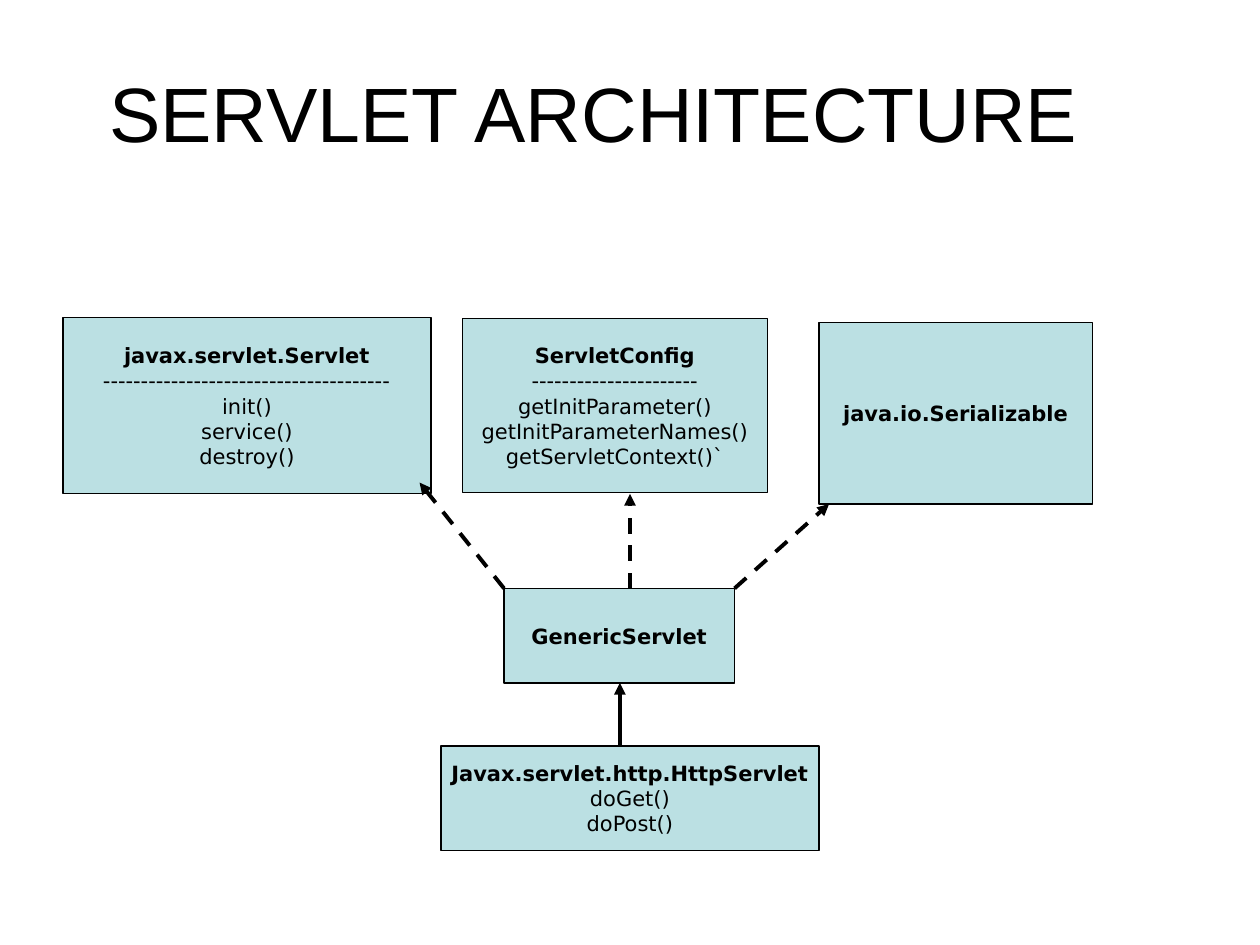
import pptx
import pptx.util
from lxml import etree
from pptx.dml.color import RGBColor
from pptx.enum.dml import MSO_LINE
from pptx.enum.shapes import MSO_CONNECTOR, MSO_SHAPE
from pptx.enum.text import MSO_ANCHOR, MSO_AUTO_SIZE, PP_ALIGN
from pptx.oxml.ns import qn

TITLE = "SERVLET ARCHITECTURE"
TITLE_BOX = (0.34, 0.6, 8.75, 0.58)

# left, top, width, height, name, further lines
CLASSES = [
    (3.67, 2.53, 2.42, 1.38, "ServletConfig",
     ["-" * 22, "getInitParameter()", "getInitParameterNames()",
      "getServletContext()`"]),
    (6.5, 2.56, 2.17, 1.44, "java.io.Serializable", []),
    (0.5, 2.52, 2.92, 1.4, "javax.servlet.Servlet",
     ["-" * 38, "init()", "service()", "destroy()"]),
    (4, 4.67, 1.83, 0.75, "GenericServlet", []),
    (3.5, 5.92, 3, 0.83, "Javax.servlet.http.HttpServlet",
     ["doGet()", "doPost()"]),
]

# start, end, dash style
ARROWS = [
    ((4.92, 5.92), (4.92, 5.42), MSO_LINE.SOLID),
    ((4, 4.67), (3.33, 3.83), MSO_LINE.DASH),
    ((5.83, 4.67), (6.58, 4), MSO_LINE.DASH),
    ((5, 4.67), (5, 3.92), MSO_LINE.DASH),
]

FILL, INK = "BBE0E3", "000000"
NAME_FONT = {"name": "DejaVu Sans", "size": pptx.util.Pt(12), "bold": True}
MEMBER_FONT = {**NAME_FONT, "bold": False}
TITLE_FONT = {"name": "Arial", "size": pptx.util.Pt(44), "bold": False}
CLASS_FRAME = {"word_wrap": False, "vertical_anchor": MSO_ANCHOR.MIDDLE}
TITLE_FRAME = {"word_wrap": True, "vertical_anchor": MSO_ANCHOR.MIDDLE,
               "auto_size": MSO_AUTO_SIZE.NONE}


def inches(values):
    return [pptx.util.Inches(value) for value in values]


def paint(color_format, color):
    color_format.rgb = RGBColor.from_string(color)


def set_values(target, values):
    for name, value in values.items():
        setattr(target, name, value)


def write_line(paragraph, text, font):
    paragraph.alignment = PP_ALIGN.CENTER
    run = paragraph.add_run()
    run.text = text
    set_values(run.font, font)
    paint(run.font.color, INK)


def add_title(slide):
    title = slide.shapes.title
    title.left, title.top, title.width, title.height = inches(TITLE_BOX)
    set_values(title.text_frame, TITLE_FRAME)
    write_line(title.text_frame.paragraphs[0], TITLE, TITLE_FONT)


def add_class(slide, left, top, width, height, name, members):
    box = slide.shapes.add_shape(MSO_SHAPE.RECTANGLE,
                                 *inches((left, top, width, height)))
    box.shadow.inherit = False
    box.fill.solid()
    paint(box.fill.fore_color, FILL)
    paint(box.line.color, INK)
    box.line.width = pptx.util.Pt(0.75)
    frame = box.text_frame
    set_values(frame, CLASS_FRAME)
    write_line(frame.paragraphs[0], name, NAME_FONT)
    for member in members:
        write_line(frame.add_paragraph(), member, MEMBER_FONT)


def add_arrow(slide, start, end, dash):
    arrow = slide.shapes.add_connector(MSO_CONNECTOR.STRAIGHT,
                                       *inches(start + end))
    paint(arrow.line.color, INK)
    set_values(arrow.line, {"width": pptx.util.Pt(2.25), "dash_style": dash})
    properties = arrow.element.spPr
    etree.SubElement(properties.find(qn("a:ln")), qn("a:tailEnd"),
                     type="triangle")
    etree.SubElement(properties, qn("a:effectLst"))


def main():
    presentation = pptx.Presentation()
    presentation.slide_width, presentation.slide_height = inches((10, 7.5))
    slide = presentation.slides.add_slide(presentation.slide_layouts[5])
    for servlet_class in CLASSES:
        add_class(slide, *servlet_class)
    for arrow in ARROWS:
        add_arrow(slide, *arrow)
    add_title(slide)
    presentation.save("out.pptx")


if __name__ == "__main__":
    main()
